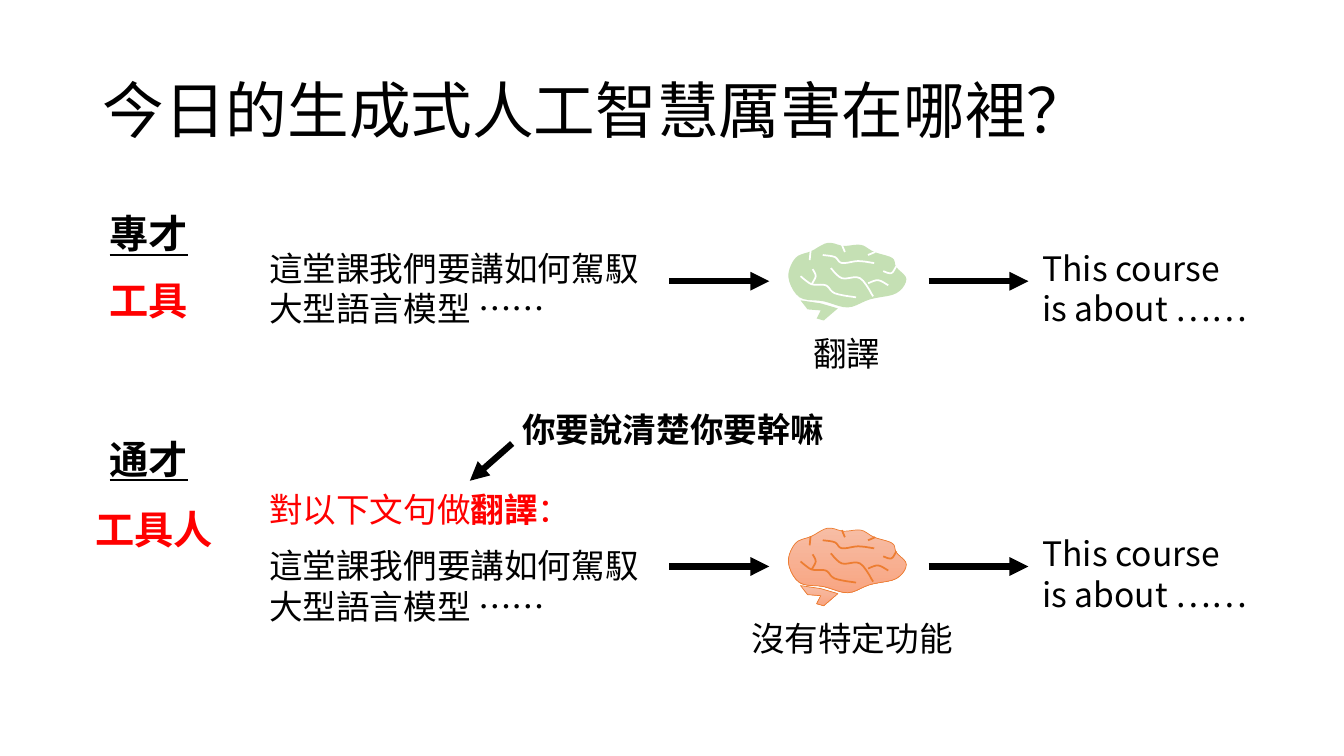
from lxml import etree
from pptx import Presentation
from pptx.dml.color import RGBColor
from pptx.enum import shapes, text
from pptx.oxml import ns
from pptx.util import Inches, Pt

FONT = "Noto Sans CJK SC"
COLORS = {"ink": "000000", "accent": "FF0000", "paper": "FFFFFF",
          "specialist": "C5E0B4", "generalist_top": "F7BDA5",
          "generalist_bottom": "F8A582", "generalist_edge": "ED7D31"}

# Brain parts in hundredths of an inch from the brain's top left corner
LOBES = [(40, 0), (24, 8), (8, 15), (1, 34), (12, 54), (36, 58), (60, 64), (82, 56),
         (108, 50), (118, 36), (108, 24), (104, 15), (86, 9), (73, 2), (56, 3)]
STEM = [(13, 57), (20, 66), (33, 67), (29, 75), (36, 77), (50, 65), (33, 60)]
FOLDS = [
    [(23, 8), (22, 17)],
    [(35, 12), (47, 14), (54, 20), (70, 18), (86, 20)],
    [(13, 33), (24, 41), (38, 42), (47, 50), (68, 54)],
    [(25, 26), (28, 33), (24, 41)],
    [(43, 25), (54, 35), (72, 35), (85, 53)],
    [(80, 40), (90, 37), (100, 42)],
    [(95, 28), (103, 30), (108, 23)],
    [(80, 12), (87, 9)],
    [(57, 9), (54, 2)]]


def rgb(name):
    return RGBColor.from_string(COLORS[name])


def style_run(run, size, color="ink", bold=False, underline=False):
    font = run.font
    font.size, font.name, font.bold = Pt(size), FONT, bold
    if underline:
        font.underline = True
    font.color.rgb = rgb(color)
    east_asian = etree.Element(ns.qn("a:ea"), typeface=FONT)
    font._element.find(ns.qn("a:latin")).addnext(east_asian)


def add_label(slide, box, words, size=24, centered=False, **style):
    frame = slide.shapes.add_textbox(*map(Inches, box)).text_frame
    frame.word_wrap = True
    frame.text = words
    paragraph = frame.paragraphs[0]
    if centered:
        paragraph.alignment = text.PP_ALIGN.CENTER
    style_run(paragraph.runs[0], size, **style)
    return frame


def add_arrow(slide, start, end):
    arrow = slide.shapes.add_connector(
        shapes.MSO_CONNECTOR.STRAIGHT, *map(Inches, start + end))
    arrow.line.width = Pt(4.5)
    arrow.line.color.rgb = rgb("ink")
    etree.SubElement(arrow.line._get_or_add_ln(), ns.qn("a:tailEnd"), type="triangle")
    etree.SubElement(arrow._element.spPr, ns.qn("a:effectLst"))


def smooth(points, closed, steps=5):
    """Return points along a Catmull-Rom curve through the given points."""
    if closed:
        ring = [points[-1], *points, *points[:2]]
    else:
        ring = [points[0], *points, points[-1]]
    curve = []
    for a, b, c, d in zip(ring, ring[1:], ring[2:], ring[3:]):
        for t in (step / steps for step in range(steps)):
            curve.append(tuple(
                q + t * (r - p + t * (2 * p - 5 * q + 4 * r - s
                                      + t * (3 * q - p - 3 * r + s))) / 2
                for p, q, r, s in zip(a, b, c, d)))
    return curve if closed else curve + [points[-1]]


def add_contours(slide, left, top, contours, closed):
    units = 10  # whole local units per hundredth of an inch
    contours = [[(round(x * units), round(y * units)) for x, y in contour]
                for contour in contours]
    builder = slide.shapes.build_freeform(*contours[0][0],
                                          scale=Inches(1) / (100 * units))
    for index, contour in enumerate(contours):
        if index:
            builder.move_to(*contour[0])
        builder.add_line_segments(contour[1:], close=closed)
    outline = builder.convert_to_shape(Inches(left), Inches(top))
    outline.shadow.inherit = False
    return outline


def add_brain(slide, left, top, paint, fold_color):
    for contour in (STEM, smooth(LOBES, closed=True)):
        paint(add_contours(slide, left, top, [contour], closed=True))
    folds = add_contours(slide, left, top,
                         [smooth(fold, closed=False) for fold in FOLDS], closed=False)
    folds.fill.background()
    folds.line.color.rgb = rgb(fold_color)
    folds.line.width = Pt(1.25)


def paint_specialist(part):
    part.fill.solid()
    part.fill.fore_color.rgb = rgb("specialist")
    part.line.fill.background()


def paint_generalist(part):
    part.fill.gradient()
    part.fill.gradient_angle = 270
    for stop, color in zip(part.fill.gradient_stops,
                           ("generalist_top", "generalist_bottom")):
        stop.color.rgb = rgb(color)
    part.line.color.rgb = rgb("generalist_edge")
    part.line.width = Pt(0.5)


def add_title(slide, box, words):
    frame = add_label(slide, box, words, size=44)
    frame.vertical_anchor = text.MSO_ANCHOR.MIDDLE
    frame.paragraphs[0].line_spacing = 0.9


def add_translation_row(slide, top, input_top, paint, fold_color, caption, caption_center):
    """Place lecture text, brain and translation from left to right."""
    add_label(slide, (2.57, input_top, 4.07, 0.91), "這堂課我們要講如何駕馭大型語言模型 ……")
    for left in (6.64, 9.21):
        add_arrow(slide, (left, top + 0.38), (left + 0.99, top + 0.38))
    add_brain(slide, 7.81, top, paint, fold_color)
    add_label(slide, (caption_center - 1.5, top + 0.84, 3, 0.5), caption, centered=True)
    add_label(slide, (10.24, top, 2.24, 0.91), "This course is about ……")


def add_role(slide, top, role, nickname, nickname_box):
    add_label(slide, (0.99, top, 1.96, 0.57), role, size=28, bold=True, underline=True)
    add_label(slide, nickname_box, nickname,
              size=28, centered=True, color="accent", bold=True)


def add_instruction(slide, left, top):
    """Place the red prompt with the remark that points at it."""
    prompt = add_label(slide, (left, top, 4.57, 0.5), "對以下文句做", color="accent")
    for words, bold in (("翻譯", True), ("：", False)):
        run = prompt.paragraphs[0].add_run()
        run.text = words
        style_run(run, 24, "accent", bold)
    remark_left = left + 2.51
    add_arrow(slide, (remark_left, top - 0.4), (remark_left - 0.42, top - 0.03))
    add_label(slide, (remark_left, top - 0.79, 3.44, 0.5), "你要說清楚你要幹嘛", bold=True)


def main():
    deck = Presentation()
    deck.slide_width, deck.slide_height = Inches(13.33), Inches(7.5)
    slide = deck.slides.add_slide(deck.slide_layouts[6])
    add_title(slide, (0.92, 0.4, 11.5, 1.45), "今日的生成式人工智慧厲害在哪裡？")
    add_role(slide, 2.03, "專才", "工具", (0.85, 2.69, 1.25, 0.57))
    add_translation_row(slide, 2.41, 2.41, paint_specialist, "paper", "翻譯", 8.4)
    add_role(slide, 4.27, "通才", "工具人", (0.72, 4.96, 1.61, 0.57))
    add_instruction(slide, 2.57, 4.8)
    add_translation_row(slide, 5.24, 5.36, paint_generalist, "generalist_edge",
                        "沒有特定功能", 8.45)
    deck.save("out.pptx")


if __name__ == "__main__":
    main()
